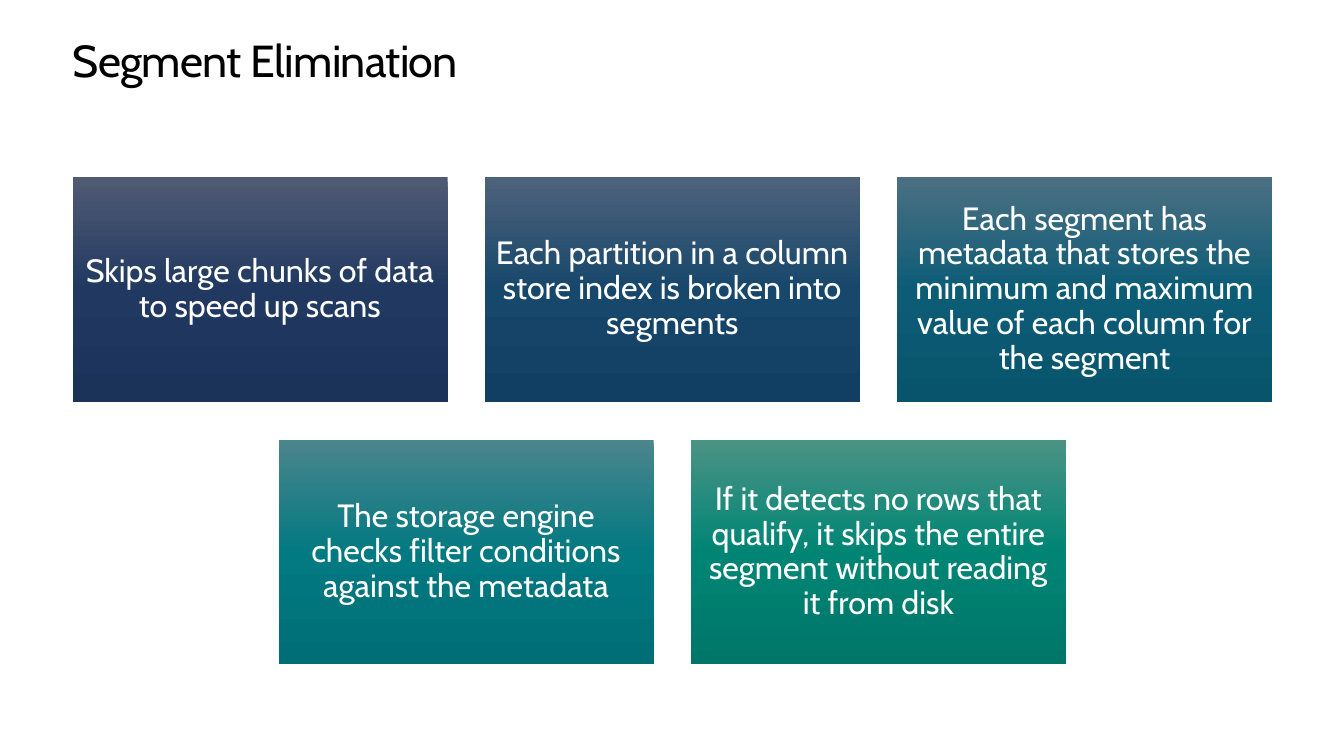
from copy import deepcopy

from pptx import Presentation
from pptx.dml.color import RGBColor
from pptx.enum.shapes import MSO_SHAPE
from pptx.enum.text import MSO_ANCHOR, MSO_AUTO_SIZE, PP_ALIGN
from pptx.oxml.ns import qn
from pptx.util import Cm, Pt

BLACK = RGBColor(0x00, 0x00, 0x00)
WHITE = RGBColor(0xFF, 0xFF, 0xFF)
NAVY = (RGBColor(0x50, 0x5B, 0x73), RGBColor(0x21, 0x39, 0x61), RGBColor(0x1B, 0x32, 0x59))
BLUE = (RGBColor(0x4E, 0x62, 0x7B), RGBColor(0x17, 0x47, 0x6B), RGBColor(0x11, 0x3F, 0x63))
PETROL = (RGBColor(0x4C, 0x70, 0x83), RGBColor(0x0D, 0x5C, 0x76), RGBColor(0x08, 0x54, 0x6D))
TEAL = (RGBColor(0x4B, 0x85, 0x8C), RGBColor(0x03, 0x79, 0x81), RGBColor(0x00, 0x6E, 0x76))
GREEN = (RGBColor(0x4B, 0x93, 0x85), RGBColor(0x00, 0x85, 0x75), RGBColor(0x00, 0x76, 0x68))

LEFT, TOP = 1.83, 4.46
CARD_W, CARD_H = 9.45, 5.66
STEP_X, STEP_Y = 10.39, 6.62
ROWS = [
    [
        ("Skips large chunks of data to speed up scans", NAVY),
        ("Each partition in a column store index is broken into segments", BLUE),
        ("Each segment has metadata that stores the minimum and maximum "
         "value of each column for the segment", PETROL),
    ],
    [
        ("The storage engine checks filter conditions against the metadata", TEAL),
        ("If it detects no rows that qualify, it skips the entire segment "
         "without reading it from disk", GREEN),
    ],
]


def apply(target, values):
    for name, value in values.items():
        setattr(target, name, value)


class Deck:
    font = "Cabin"

    def __init__(self, prs):
        self.s = prs.slides.add_slide(prs.slide_layouts[5])

    def label(self, sp, text, inset, frame, paragraph, size, color):
        tf = sp.text_frame
        sides = ("margin_left", "margin_top", "margin_right", "margin_bottom")
        apply(tf, dict.fromkeys(sides, Cm(inset)))
        apply(tf, {"word_wrap": True, "auto_size": MSO_AUTO_SIZE.NONE, **frame})
        p = tf.paragraphs[0]
        apply(p, paragraph)
        r = p.add_run()
        r.text = text
        apply(r.font, {"name": self.font, "size": Pt(size)})
        r.font.color.rgb = color
        return r

    def title(self, text):
        sp = self.s.shapes.title
        apply(sp, {"left": Cm(LEFT), "top": Cm(0.89), "width": Cm(30.23), "height": Cm(1.27)})
        r = self.label(
            sp, text, 0,
            {"vertical_anchor": MSO_ANCHOR.TOP},
            {"alignment": PP_ALIGN.LEFT, "line_spacing": Pt(36.2)},
            32, BLACK,
        )
        r._r.get_or_add_rPr().set("spc", "-50")

    def card(self, x, y, text, colors):
        sp = self.s.shapes.add_shape(
            MSO_SHAPE.RECTANGLE, Cm(x), Cm(y), Cm(CARD_W), Cm(CARD_H))
        sp.shadow.inherit = False
        sp.line.fill.background()
        self.gradient(sp, colors)
        self.label(
            sp, text, 0.25,
            {"vertical_anchor": MSO_ANCHOR.MIDDLE},
            {"alignment": PP_ALIGN.CENTER, "line_spacing": 0.9},
            23, WHITE,
        )

    def gradient(self, sp, colors):
        sp.fill.gradient()
        sp.fill.gradient_angle = 270
        stops = next(sp._element.spPr.iter(qn("a:gsLst")))
        stops.append(deepcopy(stops[0]))
        for i, (stop, color) in enumerate(zip(sp.fill.gradient_stops, colors)):
            stop.position = i / 2
            stop.color.rgb = color


def main():
    prs = Presentation()
    apply(prs, {"slide_width": Cm(33.87), "slide_height": Cm(19.05)})
    deck = Deck(prs)
    deck.title("Segment Elimination")
    for row, cards in enumerate(ROWS):
        indent = (len(ROWS[0]) - len(cards)) * STEP_X / 2
        for col, (text, colors) in enumerate(cards):
            deck.card(LEFT + indent + col * STEP_X, TOP + row * STEP_Y, text, colors)
    prs.save("out.pptx")


if __name__ == "__main__":
    main()
